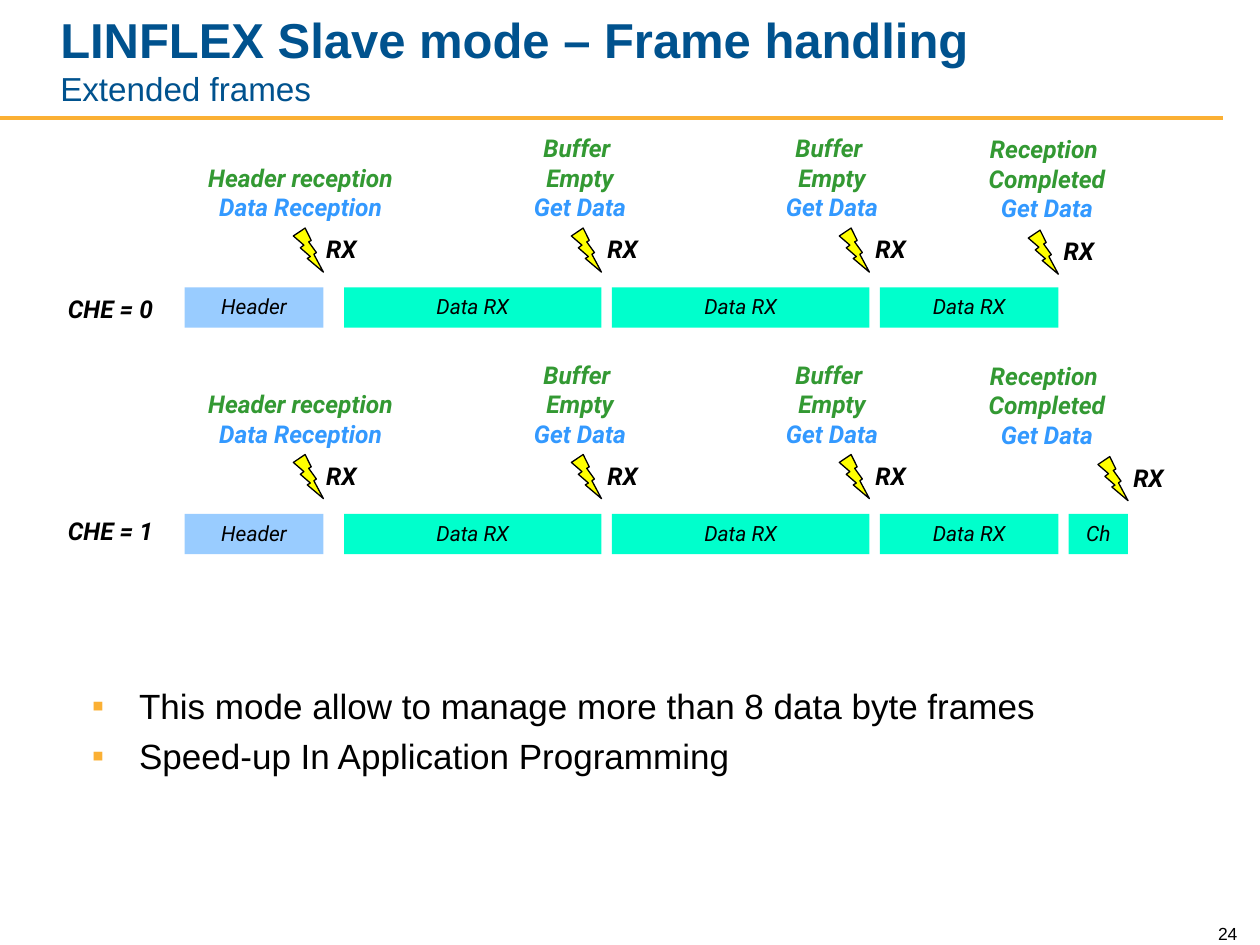
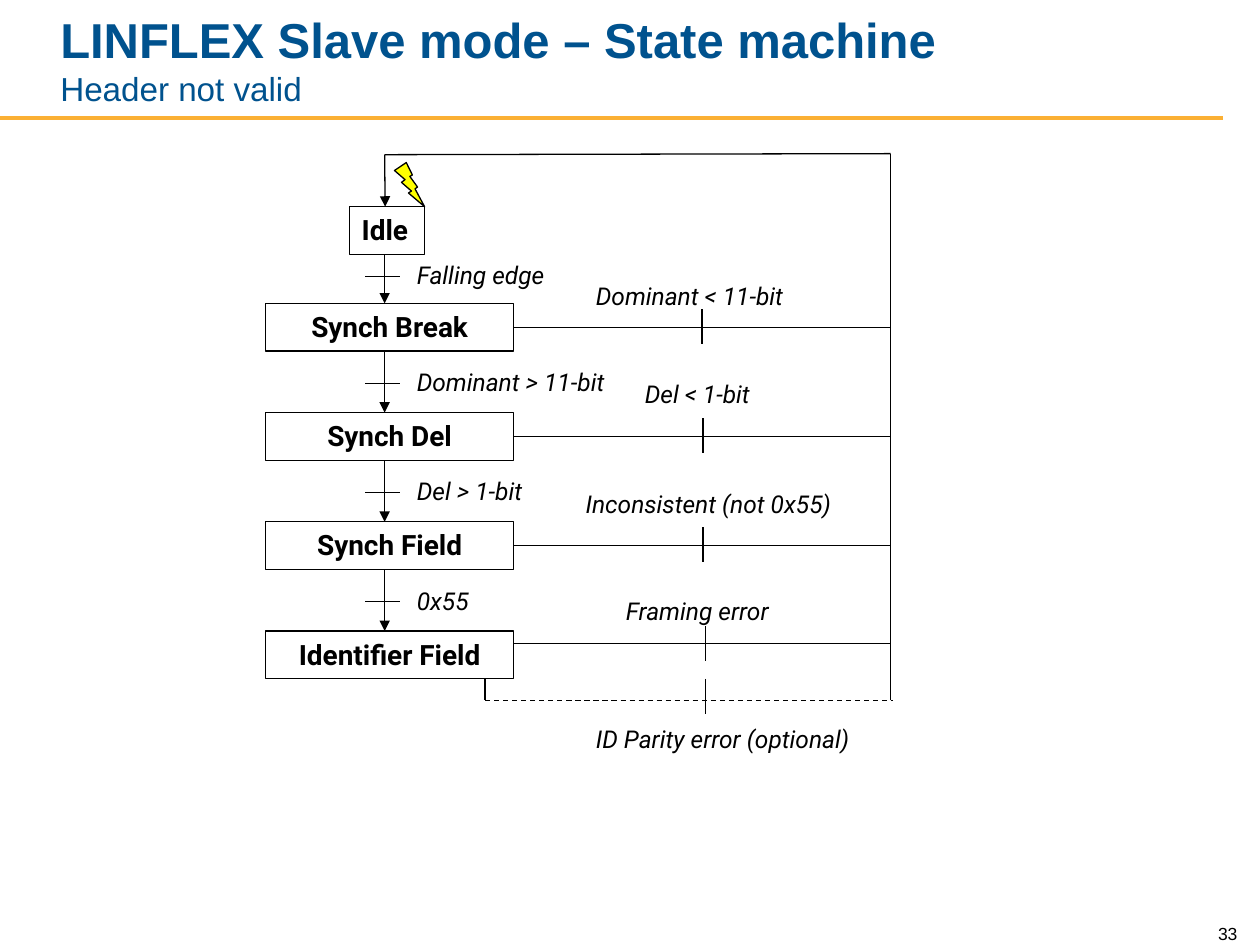
from typing import NamedTuple, Optional

from lxml.etree import SubElement
from pptx import Presentation
from pptx.dml.color import RGBColor
from pptx.enum.dml import MSO_LINE
from pptx.enum.shapes import MSO_CONNECTOR, MSO_SHAPE
from pptx.enum.text import MSO_ANCHOR, PP_ALIGN
from pptx.oxml.ns import qn
from pptx.util import Pt

COLORS = {
    "blue": "00528E", "gold": "FBB034", "black": "000000",
    "header": "99CCFF", "data": "00FFCC", "bolt": "FFFF00",
    "green": "339933", "sky": "3399FF",
}
LEFT, MID, RIGHT = PP_ALIGN.LEFT, PP_ALIGN.CENTER, PP_ALIGN.RIGHT
BOLT_W, BOLT_H = 17.2, 25.2


class Style(NamedTuple):
    size: float
    bold: bool = False
    slant: bool = False
    color: str = "black"
    font: str = "Roboto"


class Box(NamedTuple):
    x: float
    y: float
    w: float
    h: float


class Block(NamedTuple):
    text: str
    x: float
    w: float
    fill: str = "data"


class Event(NamedTuple):
    lines: tuple[str, ...]
    mid: float       # centre of the note
    gap: float       # from bolt to its RX label
    drop: float = 0


class State(NamedTuple):
    name: str
    box: Box
    align: PP_ALIGN = MID


class Step(NamedTuple):
    text: str
    tick: float


class Error(NamedTuple):
    text: str
    x: float
    y: float
    line: float
    tick: float
    state: Optional[int] = None


PAGE = Style(10, font="Arial")
BODY = Style(20, font="Arial")
CELL = Style(12, slant=True)
MARK = Style(14, True, True)
NOTE = Style(14, slant=True)
STATE = Style(16, True)


def tint(name: str) -> RGBColor:
    return RGBColor.from_string(COLORS[name])


# Shared drawing helpers
def style(para, look: Style, align: PP_ALIGN) -> None:
    para.alignment = align
    font = para.font
    font.name, font.size = look.font, Pt(look.size)
    font.bold, font.italic = look.bold, look.slant
    font.color.rgb = tint(look.color)


def text(slide, box: Box, lines: list[tuple[str, Style]],
         align: PP_ALIGN = LEFT, anchor: MSO_ANCHOR = MSO_ANCHOR.TOP):
    frame = slide.shapes.add_textbox(*map(Pt, box)).text_frame
    frame.word_wrap = True
    frame.vertical_anchor = anchor
    for i, (words, look) in enumerate(lines):
        para = frame.add_paragraph() if i else frame.paragraphs[0]
        para.text = words
        style(para, look, align)
    return frame


def shape(slide, kind: MSO_SHAPE, box: Box, fill: Optional[str] = None,
          edge: Optional[str] = None):
    item = slide.shapes.add_shape(kind, *map(Pt, box))
    item.shadow.inherit = False
    if fill:
        item.fill.solid()
        item.fill.fore_color.rgb = tint(fill)
    else:
        item.fill.background()
    if edge:
        item.line.color.rgb = tint(edge)
        item.line.width = Pt(0.75)
    else:
        item.line.fill.background()
    return item


def label(item, words: str, look: Style, align: PP_ALIGN = MID) -> None:
    frame = item.text_frame
    frame.word_wrap = True
    frame.vertical_anchor = MSO_ANCHOR.TOP
    frame.text = words
    style(frame.paragraphs[0], look, align)


def line(slide, x1: float, y1: float, x2: float, y2: float,
         color: str = "black", width: float = 0.75,
         arrow: bool = False, dash: bool = False):
    item = slide.shapes.add_connector(
        MSO_CONNECTOR.STRAIGHT, *map(Pt, (x1, y1, x2, y2)))
    item.line.color.rgb = tint(color)
    item.line.width = Pt(width)
    if dash:
        item.line.dash_style = MSO_LINE.DASH
    props = item._element.spPr
    if arrow:
        SubElement(props.find(qn("a:ln")), qn("a:tailEnd"), type="triangle")
    SubElement(props, qn("a:effectLst"))
    return item


def bolt(slide, end: float, top: float) -> None:
    shape(slide, MSO_SHAPE.LIGHTNING_BOLT,
          Box(end - BOLT_W, top, BOLT_W, BOLT_H), "bolt", "black")


def page(deck, title: str, sub: str, number: str):
    slide = deck.slides.add_slide(deck.slide_layouts[6])
    line(slide, 0, 67.4, 699, 67.4, "gold", 2.25)
    text(slide, Box(678.2, 521.3, 36, 21.6), [(number, PAGE)], RIGHT,
         MSO_ANCHOR.BOTTOM)
    frame = text(slide, Box(27.4, 13, 587.5, 52.6), [],
                 anchor=MSO_ANCHOR.BOTTOM)
    para = frame.paragraphs[0]
    para.font.name = "Arial"
    para.font.color.rgb = tint("blue")
    for i, (words, size) in enumerate(((title, 28), (sub, 19))):
        if i:
            para.add_line_break()
        run = para.add_run()
        run.text = words
        run.font.size, run.font.bold = Pt(size), not i
    return slide


# Slide with the two frame timelines
BLOCKS = [
    Block("Header", 105.6, 79.2, "header"),
    Block("Data RX", 196.6, 147.1),
    Block("Data RX", 349.7, 147.1),
    Block("Data RX", 502.8, 102),
]
CHECK = Block("Ch", 610.6, 34)
BUFFER = ("Buffer ", "Empty", "Get Data")
EVENTS = [
    Event(("Header reception", "Data Reception"), 171.8, 10.6),
    Event(BUFFER, 331.4, 12.4),
    Event(BUFFER, 475.4, 12.4),
    Event(("Reception ", "Completed", "Get Data"), 598.3, 12, 0.6),
]
POINTS = ["This mode allow to manage more than 8 data byte frames",
          "Speed-up In Application Programming"]


def show(slide, event: Event, end: float, top: float) -> None:
    high = 7.2 + 16.8 * len(event.lines)
    *heads, last = event.lines
    lines = [(head, MARK._replace(color="green")) for head in heads]
    lines.append((last, MARK._replace(color="sky")))
    text(slide, Box(event.mid - 70, top - 33.9 + event.drop - high, 140, high),
         lines, MID)
    y = top - 33.9 + 2 * event.drop
    bolt(slide, end, y)
    text(slide, Box(end - BOLT_W + event.gap, y, 33.8, 23.8),
         [("RX", MARK)], MID)


def timeline(slide, name: str, top: float, blocks: list[Block],
             lift: float) -> None:
    text(slide, Box(24.2, top - lift, 78, 23.8), [(name, MARK)], MID)
    for block in blocks:
        item = shape(slide, MSO_SHAPE.RECTANGLE,
                     Box(block.x, top, block.w, 23), block.fill)
        label(item, block.text, CELL)
    ends = [block.x + block.w for block in blocks]
    ends[3:] = ends[-1:]  # the last event closes the frame
    for event, end in zip(EVENTS, ends):
        show(slide, event, end, top)


def frames(deck) -> None:
    slide = page(deck, "LINFLEX Slave mode – Frame handling",
                 "Extended frames", "24")
    timeline(slide, "CHE = 0", 164.2, BLOCKS, 0)
    timeline(slide, "CHE = 1", 293.6, BLOCKS + [CHECK], 2.2)

    # Bullet list
    frame = text(slide, Box(45.4, 387.4, 623.5, 72.7), [])
    for i, words in enumerate(POINTS):
        para = frame.add_paragraph() if i else frame.paragraphs[0]
        para.text = words
        if i:
            para.space_before = Pt(4.6)
        props = para._p.get_or_add_pPr()
        props.set("marL", str(Pt(27)))
        props.set("indent", str(-Pt(27)))
        tone = SubElement(props, qn("a:buClr"))
        SubElement(tone, qn("a:srgbClr"), val=COLORS["gold"])
        SubElement(props, qn("a:buFont"), typeface="Arial")
        SubElement(props, qn("a:buChar"), char="▪")
        style(para, BODY, LEFT)


# Slide with the state machine
HIGH, SPINE, RAIL, ROOF, FLOOR = 27.2, 219.8, 509, 87.8, 400.3
NAMES = ["Synch Break", "Synch Del", "Synch Field", "Identifier Field"]
STATES = [State("Idle", Box(199.6, 118.1, 43, HIGH), LEFT)] + [
    State(name, Box(151.8, 173.4 + 62.4 * i, 141.8, HIGH))
    for i, name in enumerate(NAMES)]
STEPS = [Step("Falling edge", 157.9), Step("Dominant > 11-bit", 219),
         Step("Del > 1-bit", 281.4), Step("0x55", 343.8)]
ERRORS = [
    Error("Dominant < 11-bit", 333.4, 156.8, 186.6, 401.2, 1),
    Error("Del < 1-bit", 361.4, 213.1, 249, 401.8, 2),
    Error("Inconsistent (not 0x55)", 327.6, 275.8, 311.2, 401.8, 3),
    Error("Framing error", 350.6, 337, 367.9, 403.2),
    Error("ID Parity error (optional)", 333.4, 410.4, 398, 403.2),
]


def machine(deck) -> None:
    slide = page(deck, "LINFLEX Slave mode – State machine",
                 "Header not valid", "33")
    boxes = []
    for state in STATES:
        item = shape(slide, MSO_SHAPE.RECTANGLE, state.box, edge="black")
        label(item, state.name, STATE, state.align)
        boxes.append(item)

    # Steps down the spine
    for step, above, below in zip(STEPS, STATES, STATES[1:]):
        line(slide, SPINE, above.box.y + HIGH, SPINE, below.box.y, arrow=True)
        line(slide, 208.6, step.tick, 228.6, step.tick)
        text(slide, Box(231.1, step.tick - 12.7, 141.8, 23.8),
             [(step.text, NOTE)])

    # Return path to Idle
    line(slide, RAIL, FLOOR, RAIL, ROOF)
    line(slide, RAIL, ROOF, SPINE, ROOF + 0.6)
    line(slide, SPINE, ROOF + 0.6, SPINE + 0.3, STATES[0].box.y, arrow=True)
    bolt(slide, 242.6, 92.9)

    # Error exits
    right = STATES[1].box.x + STATES[1].box.w
    for error in ERRORS:
        if error is not ERRORS[-1]:
            # Joined exits run level from the middle of their state
            mid = error.line
            if error.state:
                mid = STATES[error.state].box.y + HIGH / 2
            way = line(slide, right, mid, RAIL, mid)
            if error.state:
                way.begin_connect(boxes[error.state], 3)
        line(slide, error.tick, error.line - 10, error.tick, error.line + 10)
        text(slide, Box(error.x, error.y, 175.7, 23.8), [(error.text, NOTE)])
    line(slide, 277.2, STATES[-1].box.y + HIGH, 277.2, FLOOR)
    line(slide, 277.2, FLOOR, 510.5, FLOOR, dash=True)


def main() -> None:
    deck = Presentation()
    deck.slide_width, deck.slide_height = Pt(720), Pt(540)
    frames(deck)
    machine(deck)
    deck.save("out.pptx")


if __name__ == "__main__":
    main()
